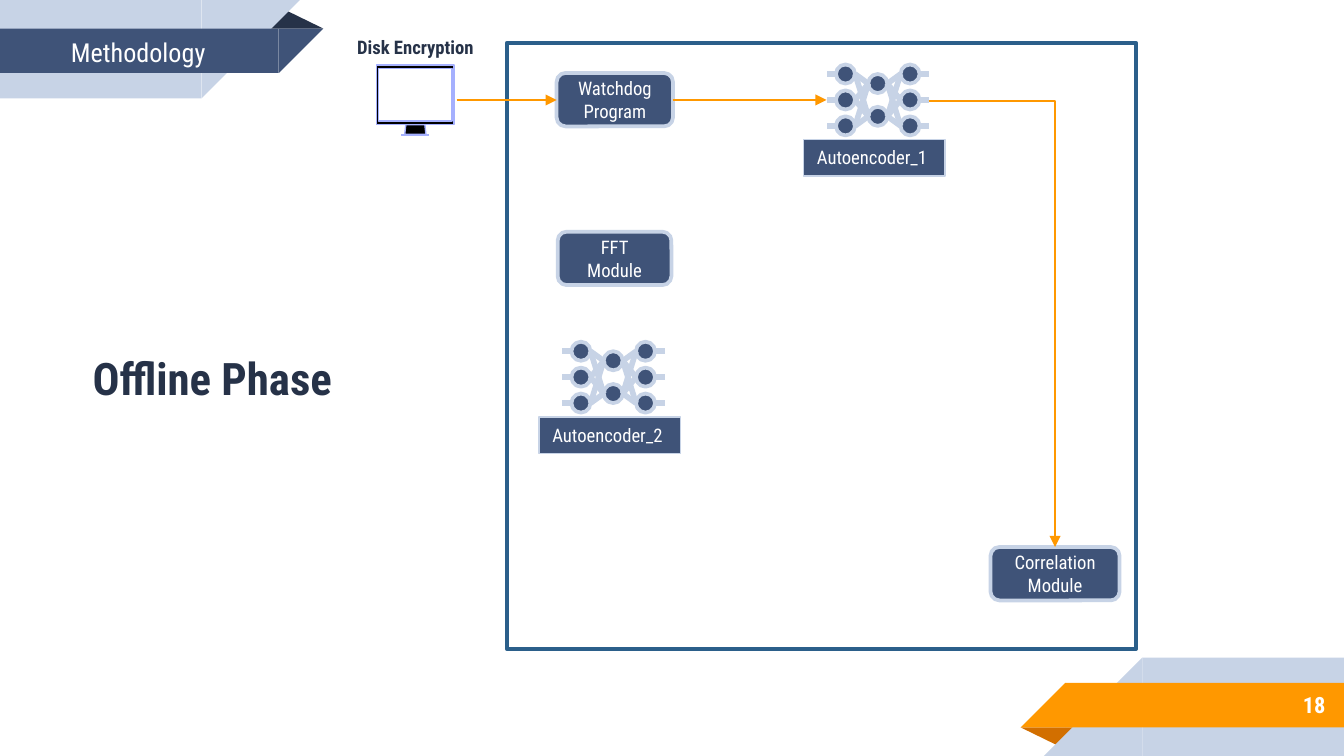
"""Build the methodology slide showing the offline phase of the detection pipeline."""
from itertools import product

from lxml.etree import SubElement
from pptx import Presentation
from pptx.dml.color import RGBColor
from pptx.enum.shapes import MSO_CONNECTOR as LINK, MSO_SHAPE as SHAPE
from pptx.enum.text import MSO_ANCHOR as ANCHOR, PP_ALIGN as ALIGN
from pptx.oxml.ns import qn
from pptx.util import Cm, Pt

NAVY = RGBColor(0x3F, 0x53, 0x78)
DARK = RGBColor(0x26, 0x32, 0x48)
PALE = RGBColor(0xC7, 0xD3, 0xE6)
ORANGE = RGBColor(0xFF, 0x98, 0x00)
BROWN = RGBColor(0xD2, 0x6F, 0x00)
FRAME_BLUE = RGBColor(0x2B, 0x5F, 0x8A)
LILAC = RGBColor(0xA5, 0xB0, 0xFE)
BLACK = RGBColor(0, 0, 0)
WHITE = RGBColor(0xFF, 0xFF, 0xFF)

WIDTH, HEIGHT = 25.4, 14.29


def write_text(box, text, size=10, color=WHITE, bold=False, align=ALIGN.LEFT,
               anchor=ANCHOR.TOP, wrap=True):
    frame = box.text_frame
    frame.word_wrap = wrap
    frame.vertical_anchor = anchor
    paragraph = frame.paragraphs[0]
    paragraph.alignment = align
    run = paragraph.add_run()
    run.text = text
    run.font.name = "Roboto Condensed"
    run.font.size = Pt(size)
    run.font.bold = bold
    run.font.color.rgb = color


def draw_shape(parent, kind, bounds, fill=None, line=None, weight=2, rotation=0):
    shape = parent.add_shape(kind, *map(Cm, bounds))
    shape.shadow.inherit = False
    shape.rotation = rotation
    if fill is None:
        shape.fill.background()
    else:
        shape.fill.solid()
        shape.fill.fore_color.rgb = fill
    if line is None:
        shape.line.fill.background()
    else:
        shape.line.color.rgb = line
        shape.line.width = Pt(weight)
    return shape


deck = Presentation()
deck.slide_width, deck.slide_height = Cm(WIDTH), Cm(HEIGHT)
slide = deck.slides.add_slide(deck.slide_layouts[6])
canvas = slide.shapes

for mirrored, band, fold_color in [(False, ORANGE, BROWN), (True, NAVY, DARK)]:
    ribbon = canvas.add_group_shape().shapes
    for kind, (x, y, w, h), color, turn in [
        (SHAPE.ISOSCELES_TRIANGLE, (19.29, 13.75, 1.09, 0.36), fold_color, 180),
        (SHAPE.RECTANGLE, (21.59, 12.43, 3.81, 1.86), PALE, 0),
        (SHAPE.RIGHT_TRIANGLE, (19.73, 12.43, 1.86, 1.86), PALE, 270),
        (SHAPE.RECTANGLE, (20.13, 12.91, 5.27, 0.84), band, 0),
        (SHAPE.RIGHT_TRIANGLE, (19.29, 12.91, 0.84, 0.84), band, 270),
    ]:
        if mirrored:
            x, y, turn = WIDTH - x - w, HEIGHT - y - h, (turn + 180) % 360
        part = draw_shape(ribbon, kind, (x, y, w, h), color, rotation=turn)
        if kind == SHAPE.ISOSCELES_TRIANGLE:
            part.adjustments[0] = 0.324
        elif kind == SHAPE.RECTANGLE:
            part.rotation = 0

for text, bounds, style in [
    ("18", (21.16, 12.88, 4.14, 0.89),
     dict(size=12, bold=True, align=ALIGN.RIGHT, anchor=ANCHOR.MIDDLE)),
    ("Methodology", (1.09, 0.56, 4.17, 0.81), dict(size=14)),
    ("Offline Phase", (1.5, 6.5, 5.16, 1.27),
     dict(size=24, color=DARK, bold=True, wrap=False)),
    ("Disk Encryption", (6.48, 0.56, 2.74, 0.69),
     dict(color=DARK, bold=True, align=ALIGN.CENTER, wrap=False)),
]:
    write_text(canvas.add_textbox(*map(Cm, bounds)), text, **style)

screen_edge = [(712, 123), (858, 123), (858, 236), (712, 236)]
screen_opening = [(716, 229), (854, 229), (854, 129), (716, 129)]
stand = [(767, 236), (803, 236), (805, 254), (765, 254)]
foot = [(759, 254), (810, 254), (810, 256), (759, 256)]
outline = canvas.build_freeform(*screen_edge[0], scale=Cm(0.01))
outline.add_line_segments(screen_edge[1:], close=True)
for contour in (screen_opening, stand, foot):
    outline.move_to(*contour[0])
    outline.add_line_segments(contour[1:], close=True)
monitor = outline.convert_to_shape()
monitor.shadow.inherit = False
monitor.fill.solid()
monitor.fill.fore_color.rgb = BLACK
monitor.line.color.rgb = LILAC
monitor.line.width = Pt(0.75)

draw_shape(canvas, SHAPE.RECTANGLE, (9.58, 0.81, 11.89, 11.46), line=FRAME_BLUE)

for text, bounds in [
    ("Watchdog Program", (10.52, 1.38, 2.2, 1.01)),
    ("FFT Module", (10.54, 4.38, 2.15, 1.01)),
    ("Correlation Module", (18.72, 10.34, 2.44, 1.01)),
]:
    module = draw_shape(canvas, SHAPE.ROUNDED_RECTANGLE, bounds, NAVY, PALE)
    write_text(module, text, align=ALIGN.CENTER, anchor=ANCHOR.MIDDLE)

NODE = 0.36
OUTER_ROWS, INNER_ROWS = (-0.49, 0, 0.49), (-0.31, 0.31)
links = []
for text, cx, cy in [("Autoencoder_1", 16.59, 1.89), ("Autoencoder_2", 11.59, 7.13)]:
    network = canvas.add_group_shape().shapes
    for column, rows in [(-0.61, OUTER_ROWS), (0, INNER_ROWS), (0.61, OUTER_ROWS)]:
        for row in rows:
            draw_shape(network, SHAPE.OVAL,
                       (cx + column - NODE / 2, cy + row - NODE / 2, NODE, NODE), NAVY, PALE)
    for side in (-1, 1):
        spans = [(0.43, outer, 0.18, inner) for outer, inner in product(OUTER_ROWS, INNER_ROWS)]
        spans += [(0.79, row, 0.97, row) for row in OUTER_ROWS]
        for x1, y1, x2, y2 in spans:
            ends = (cx + side * x1, cy + y1, cx + side * x2, cy + y2)
            links.append((network, LINK.STRAIGHT, ends, PALE, 3))
    label = draw_shape(network, SHAPE.RECTANGLE, (cx - 1.4, cy + 0.75, 2.67, 0.69),
                       NAVY, PALE, weight=0.75)
    write_text(label, text, wrap=False)

links += [
    (canvas, LINK.STRAIGHT, (8.63, 1.89, 10.52, 1.89), ORANGE, 1),
    (canvas, LINK.STRAIGHT, (12.71, 1.89, 15.62, 1.89), ORANGE, 1),
    (canvas, LINK.ELBOW, (17.55, 1.91, 19.94, 10.34), ORANGE, 1),
]
for parent, kind, ends, color, weight in links:
    link = parent.add_connector(kind, *map(Cm, ends))
    link.line.color.rgb = color
    link.line.width = Pt(weight)
    properties = link._element.spPr
    if color == ORANGE:
        SubElement(link.get_or_add_ln(), qn("a:tailEnd"), type="triangle")
    if kind == LINK.ELBOW:
        properties.find(qn("a:prstGeom")).set("prst", "bentConnector2")
    SubElement(properties, qn("a:effectLst"))

deck.save("out.pptx")
